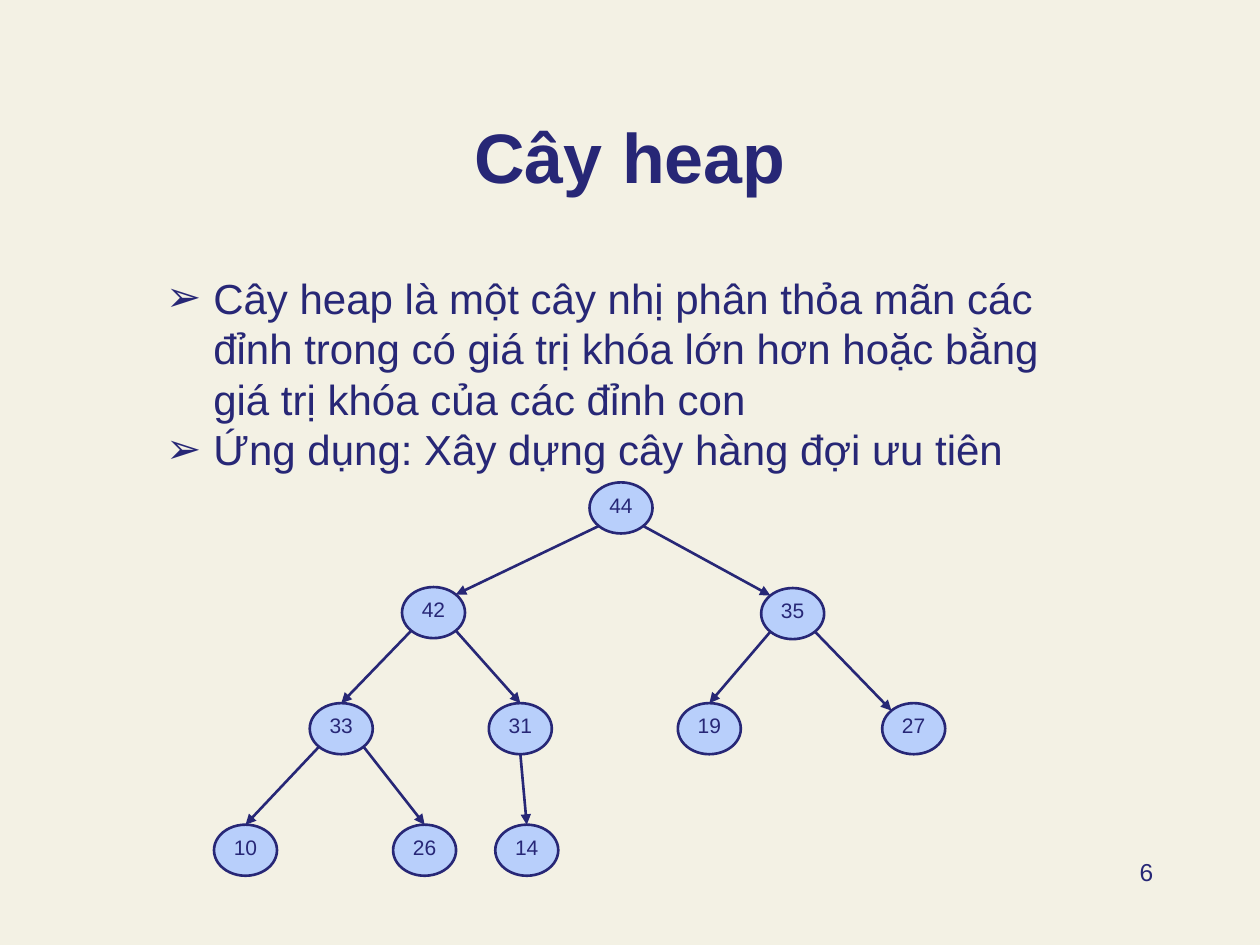
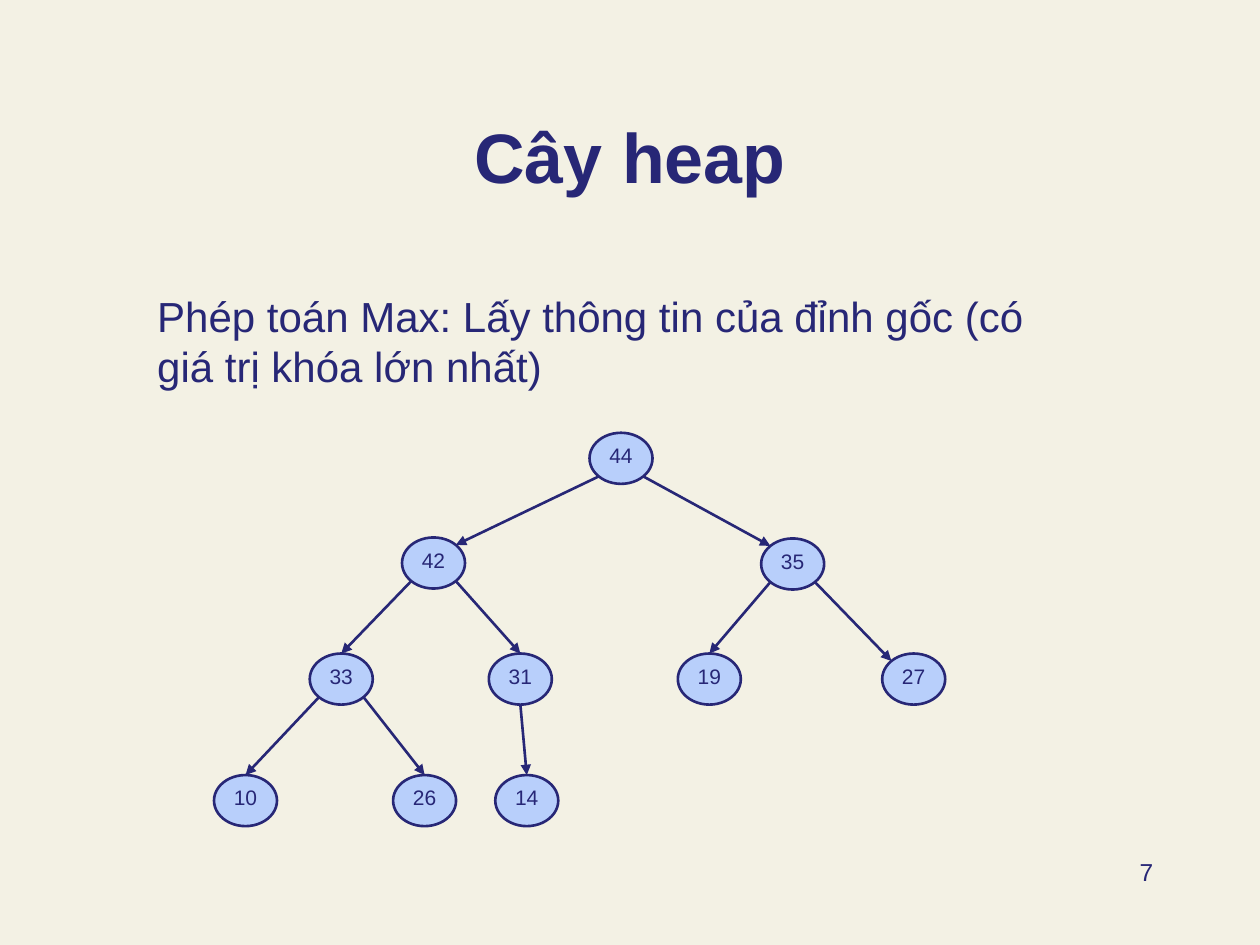
import math
from typing import NamedTuple

import lxml.etree
import pptx
import pptx.dml.color
import pptx.enum.shapes
import pptx.enum.text
import pptx.oxml.ns
import pptx.util
from pptx.util import Cm

# Shared look
PAPER = "F3F1E4"
INK = "272776"
NODE_FILL = "B8CFFB"
FONT = "Arial"
LINE_WIDTH = pptx.util.Pt(1.5)
ALIGN = pptx.enum.text.PP_ALIGN
ANCHOR = pptx.enum.text.MSO_ANCHOR

# Size of a tree node, in centimetres
NODE_WIDTH = 1.27
NODE_HEIGHT = 1.03
HALF_WIDTH = NODE_WIDTH / 2
HALF_HEIGHT = NODE_HEIGHT / 2

# Points on a node's outline, as directions from its centre
DIAGONAL = math.sqrt(0.5)
TOP = (0, -1)
BOTTOM = (0, 1)
TOP_LEFT = (-DIAGONAL, -DIAGONAL)
TOP_RIGHT = (DIAGONAL, -DIAGONAL)
BOTTOM_LEFT = (-DIAGONAL, DIAGONAL)
BOTTOM_RIGHT = (DIAGONAL, DIAGONAL)


class Node(NamedTuple):
    """Centre x on the slide and depth below the root, in centimetres."""
    x: float
    depth: float


class Edge(NamedTuple):
    parent: int
    child: int
    leave: tuple[float, float]
    enter: tuple[float, float] = TOP


class HeapSlide(NamedTuple):
    number: int
    body: list[str]
    box: tuple[float, float, float, float]
    bulleted: bool
    root_y: float


NODES = {
    44: Node(12.52, 0),
    42: Node(8.74, 2.11), 35: Node(15.98, 2.13),
    33: Node(6.88, 4.45), 31: Node(10.49, 4.45),
    19: Node(14.3, 4.45), 27: Node(18.42, 4.45),
    10: Node(4.95, 6.9), 26: Node(8.56, 6.9), 14: Node(10.62, 6.9),
}

EDGES = [
    Edge(44, 42, BOTTOM_LEFT, TOP_RIGHT), Edge(44, 35, BOTTOM_RIGHT, TOP_LEFT),
    Edge(42, 33, BOTTOM_LEFT), Edge(42, 31, BOTTOM_RIGHT),
    Edge(35, 19, BOTTOM_LEFT), Edge(35, 27, BOTTOM_RIGHT, TOP_LEFT),
    Edge(33, 10, BOTTOM_LEFT), Edge(33, 26, BOTTOM_RIGHT),
    Edge(31, 14, BOTTOM),
]

SLIDES = [
    HeapSlide(
        6,
        ["Cây heap là một cây nhị phân thỏa mãn các đỉnh trong có giá trị khóa "
         "lớn hơn hoặc bằng giá trị khóa của các đỉnh con",
         "Ứng dụng: Xây dựng cây hàng đợi ưu tiên"],
        (3.1, 5.36, 19.2, 4.37), True, 10.24),
    HeapSlide(
        7,
        ["Phép toán Max: Lấy thông tin của đỉnh gốc (có giá trị khóa lớn nhất)"],
        (2.92, 5.72, 19.2, 2.31), False, 9.24),
]


def color(value: str) -> pptx.dml.color.RGBColor:
    return pptx.dml.color.RGBColor.from_string(value)


def add_bullet(paragraph) -> None:
    properties = paragraph._p.get_or_add_pPr()
    indent = Cm(0.95)
    properties.set("marL", str(indent))
    properties.set("indent", str(-indent))
    qualified = pptx.oxml.ns.qn
    bullet_color = lxml.etree.SubElement(properties, qualified("a:buClr"))
    lxml.etree.SubElement(bullet_color, qualified("a:srgbClr"), val=INK)
    lxml.etree.SubElement(properties, qualified("a:buFont"), typeface=FONT)
    lxml.etree.SubElement(properties, qualified("a:buChar"), char="➢")


def write_text(shape, lines: list[str], *, size: float, bold: bool = False,
               align=ALIGN.LEFT, anchor=ANCHOR.TOP, bulleted: bool = False,
               margins: tuple[float, float, float, float] = (0.25, 0.13, 0.25, 0.13),
               ) -> None:
    frame = shape.text_frame
    frame.word_wrap = True
    frame.auto_size = pptx.enum.text.MSO_AUTO_SIZE.NONE
    frame.vertical_anchor = anchor
    (frame.margin_left, frame.margin_top,
     frame.margin_right, frame.margin_bottom) = map(Cm, margins)
    for index, line in enumerate(lines):
        paragraph = frame.add_paragraph() if index else frame.paragraphs[0]
        paragraph.alignment = align
        if bulleted:
            add_bullet(paragraph)
        run = paragraph.add_run()
        run.text = line
        run.font.name = FONT
        run.font.size = pptx.util.Pt(size)
        run.font.bold = bold
        run.font.color.rgb = color(INK)


def add_text(slide, lines: list[str], box: tuple[float, float, float, float],
             **text_format) -> None:
    write_text(slide.shapes.add_textbox(*map(Cm, box)), lines, **text_format)


def set_title(slide, text: str) -> None:
    title = slide.shapes.title
    title.left, title.top, title.width, title.height = map(Cm, (1.9, 1.37, 21.6, 2.74))
    write_text(title, [text], size=40, bold=True, align=ALIGN.CENTER,
               anchor=ANCHOR.BOTTOM)


def add_node(slide, key: int, node: Node, root_y: float) -> None:
    shape = slide.shapes.add_shape(
        pptx.enum.shapes.MSO_SHAPE.OVAL,
        Cm(node.x - HALF_WIDTH), Cm(root_y + node.depth - HALF_HEIGHT),
        Cm(NODE_WIDTH), Cm(NODE_HEIGHT))
    shape.shadow.inherit = False
    shape.fill.solid()
    shape.fill.fore_color.rgb = color(NODE_FILL)
    shape.line.color.rgb = color(INK)
    shape.line.width = LINE_WIDTH
    write_text(shape, [str(key)], size=12, align=ALIGN.CENTER,
               anchor=ANCHOR.MIDDLE, margins=(0, 0, 0, 0.13))


def outline_point(key: int, direction: tuple[float, float], root_y: float):
    node = NODES[key]
    return (Cm(node.x + HALF_WIDTH * direction[0]),
            Cm(root_y + node.depth + HALF_HEIGHT * direction[1]))


def add_edge(slide, edge: Edge, root_y: float) -> None:
    connector = slide.shapes.add_connector(
        pptx.enum.shapes.MSO_CONNECTOR.STRAIGHT,
        *outline_point(edge.parent, edge.leave, root_y),
        *outline_point(edge.child, edge.enter, root_y))
    connector.line.color.rgb = color(INK)
    connector.line.width = LINE_WIDTH
    qualified = pptx.oxml.ns.qn
    lxml.etree.SubElement(connector.line._get_or_add_ln(),
                          qualified("a:tailEnd"), type="triangle")
    lxml.etree.SubElement(connector._element.spPr, qualified("a:effectLst"))


def add_heap_slide(presentation, content: HeapSlide) -> None:
    slide = presentation.slides.add_slide(
        presentation.slide_layouts.get_by_name("Title Only"))
    set_title(slide, "Cây heap")
    add_text(slide, content.body, content.box, size=24, bulleted=content.bulleted)
    add_text(slide, [str(content.number)], (18.2, 17.15, 5.3, 1.27),
             size=14, align=ALIGN.RIGHT)
    # Heap tree
    for key, node in NODES.items():
        add_node(slide, key, node, content.root_y)
    for edge in EDGES:
        add_edge(slide, edge, content.root_y)


def main() -> None:
    presentation = pptx.Presentation()
    presentation.slide_width = Cm(25.4)
    presentation.slide_height = Cm(19.05)
    background = presentation.slide_master.background.fill
    background.solid()
    background.fore_color.rgb = color(PAPER)
    for content in SLIDES:
        add_heap_slide(presentation, content)
    presentation.save("out.pptx")


if __name__ == "__main__":
    main()
